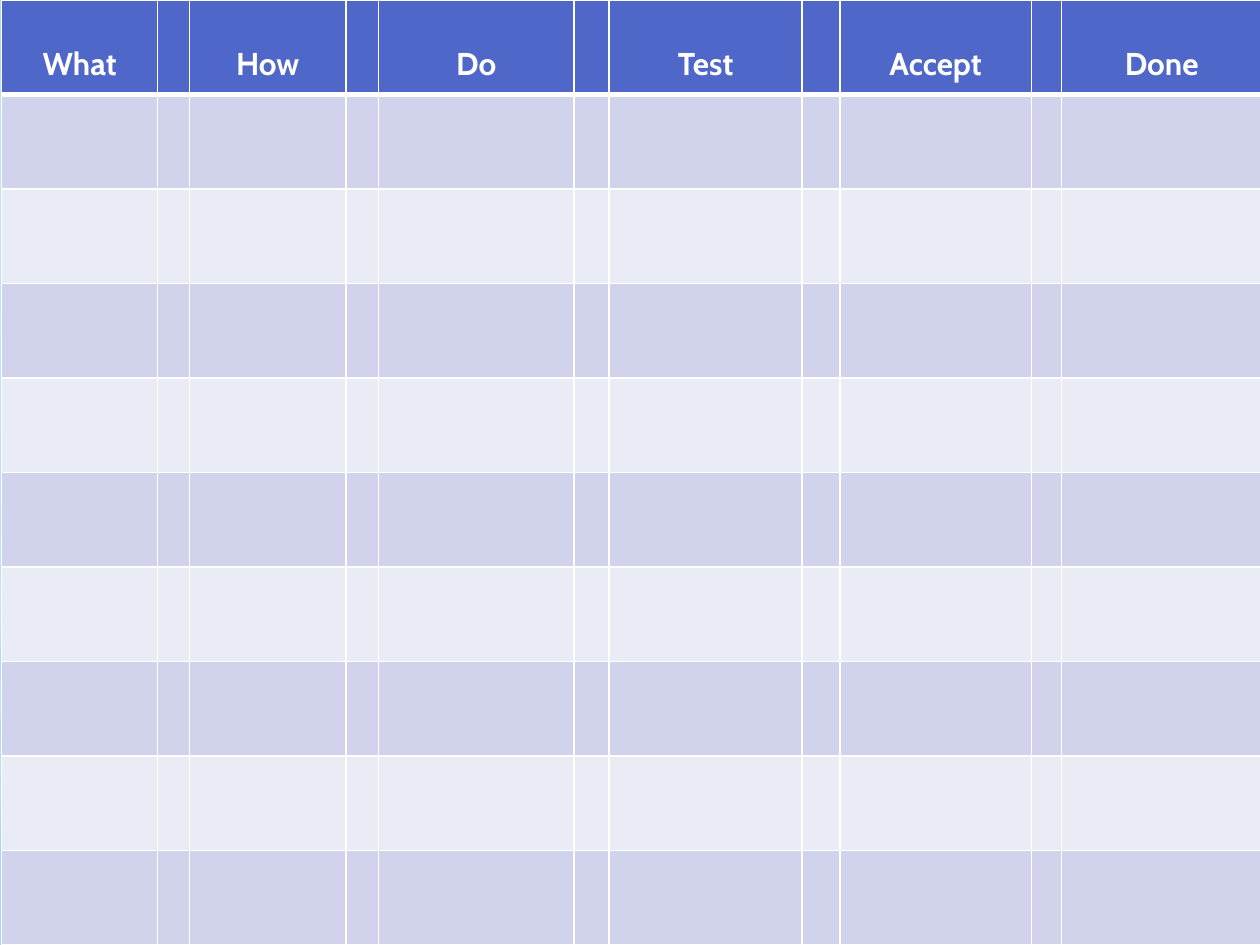
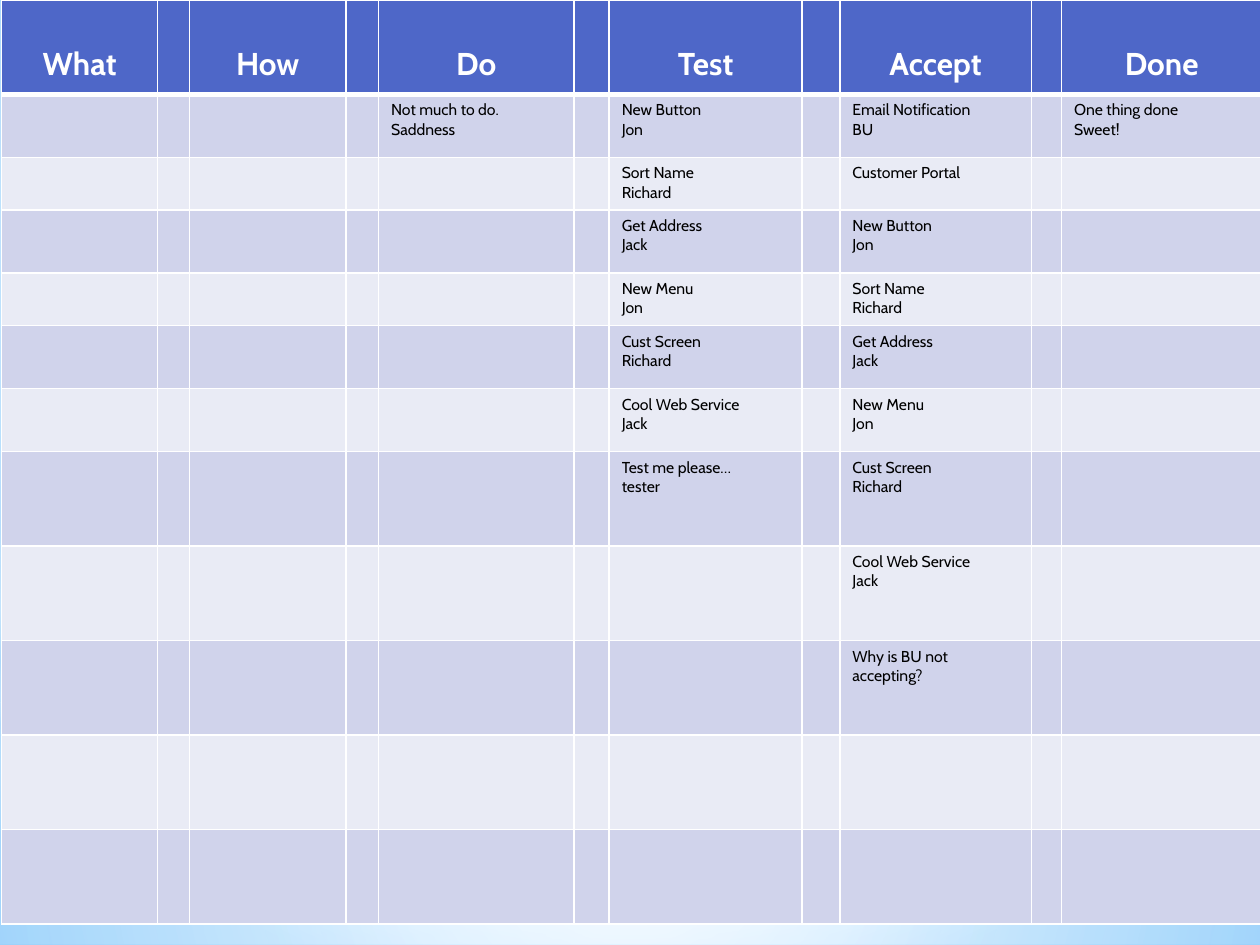
from dataclasses import dataclass

from lxml import etree
from pptx import Presentation
from pptx import util as u
from pptx.dml.color import RGBColor
from pptx.enum import shapes, text
from pptx.oxml import parse_xml
from pptx.oxml.ns import nsdecls, qn


@dataclass(frozen=True)
class Theme:
    font: str = "Cabin"
    header_size: int = 18
    card_size: int = 9
    header: str = "4E67C8"
    odd_row: str = "D0D3EB"
    even_row: str = "E9EBF5"
    white: str = "FFFFFF"
    ink: str = "000000"
    sky: str = "9ED5FF"
    deep_sky: str = "5BB9FF"
    mist: str = "B4DCFA"


theme = Theme()
CENTRE = (50, 50, 50, 50)


def gradient(stops, focus=None):
    """Gradient of (position, colour, opacity) in percent; round if it has a focus."""
    fill = parse_xml(f'<a:gradFill {nsdecls("a")} rotWithShape="1"><a:gsLst/></a:gradFill>')
    for position, colour, opacity in stops:
        stop = etree.SubElement(fill[0], qn("a:gs"), pos=str(position * 1000))
        tint = etree.SubElement(stop, qn("a:srgbClr"), val=colour)
        if opacity < 100:
            etree.SubElement(tint, qn("a:alpha"), val=str(opacity * 1000))
    if focus:
        way = etree.SubElement(fill, qn("a:path"), path="circle")
        sides = {side: str(share * 1000) for side, share in zip("ltrb", focus)}
        etree.SubElement(way, qn("a:fillToRect"), sides)
    else:
        etree.SubElement(fill, qn("a:lin"), ang="5400000", scaled="0")
    return fill


def write_cell(cell, lines, size, colour, bold=False, align=None):
    for number, line in enumerate(lines):
        frame = cell.text_frame
        paragraph = frame.paragraphs[0] if number == 0 else frame.add_paragraph()
        paragraph.alignment = align
        run = paragraph.add_run()
        run.text = line
        run.font.name, run.font.size, run.font.bold = theme.font, u.Pt(size), bold
        run.font.color.rgb = RGBColor.from_string(colour)


# Boards: row heights and the cards under each stage
stages = ["What", "How", "Do", "Test", "Accept", "Done"]
column_widths = [3.15, 0.64, 3.15, 0.66, 3.94, 0.71, 3.89, 0.76, 3.86, 0.58, 4.04]
deck = Presentation()
deck.slide_width, deck.slide_height = u.Cm(25.4), u.Cm(19.05)
full = deck.slide_height // 10
medium, short = u.Cm(1.27), u.Cm(1.06)

passed_on = [
    "New Button\nJon",
    "Sort Name\nRichard",
    "Get Address\nJack",
    "New Menu\nJon",
    "Cust Screen\nRichard",
    "Cool Web Service\nJack",
]
boards = [
    ([full] * 10, {}),
    (
        [full, medium, short, medium, short, medium, medium] + [full] * 5,
        {
            "Do": ["Not much to do.\nSaddness"],
            "Test": passed_on + ["Test me please…\ntester"],
            "Accept": ["Email Notification\nBU", "Customer Portal"]
            + passed_on
            + ["Why is BU not accepting?"],
            "Done": ["One thing done\nSweet!"],
        },
    ),
]

# Shared sky background
master = deck.slide_master
master.background.fill.solid()
sky = master.element.find(".//" + qn("p:bgPr"))
sky_stops = [(0, theme.sky, 100), (60, theme.white, 100), (100, theme.deep_sky, 100)]
sky.replace(sky[0], gradient(sky_stops, (20, 10, 20, 60)))

# Shared light veils: form, top, height, stops, focus
rectangle, oval = shapes.MSO_SHAPE.RECTANGLE, shapes.MSO_SHAPE.OVAL
veils = [
    (rectangle, 14.17, 4.88,
     [(0, theme.white, 91), (37, theme.white, 76), (100, theme.mist, 79)], CENTRE),
    (rectangle, 0, 14.17,
     [(0, theme.white, 89), (48, theme.white, 62), (100, theme.mist, 79)], CENTRE),
    (rectangle, 10.46, 6.35,
     [(0, theme.white, 0), (29, theme.white, 30), (45, theme.mist, 40),
      (55, theme.white, 26), (65, theme.mist, 60), (100, theme.white, 0)], None),
    (oval, 4.45, 14.17, [(0, theme.white, 100), (56, theme.white, 0)], CENTRE),
]

blank = deck.slide_layouts[6]
pages = [deck.slides.add_slide(blank) for _ in boards]
for form, top, height, stops, focus in veils:
    veil = pages[0].shapes.add_shape(form, 0, u.Cm(top), deck.slide_width, u.Cm(height))
    veil.shadow.inherit = False
    veil.line.fill.background()
    veil.element.spPr.insert(2, gradient(stops, focus))
    master.shapes.element.append(veil.element)

# Task boards
for page, (row_heights, cards) in zip(pages, boards):
    board = page.shapes.add_table(
        len(row_heights), len(column_widths),
        u.Cm(0.03), 0, u.Cm(sum(column_widths)), sum(row_heights),
    ).table
    board.horz_banding = False
    for column, width in zip(board.columns, column_widths):
        column.width = u.Cm(width)
    for row, height in zip(board.rows, row_heights):
        row.height = height

    # Fills and white grid, with a heavy rule under the header
    for r, row in enumerate(board.rows):
        shade = theme.header if r == 0 else theme.odd_row if r % 2 else theme.even_row
        for cell in row.cells:
            cell.fill.solid()
            cell.fill.fore_color.rgb = RGBColor.from_string(shade)
            for place, side in enumerate("LRTB"):
                heavy = (r, side) in [(0, "B"), (1, "T")]
                edge = parse_xml(
                    f'<a:ln{side} {nsdecls("a")} w="{u.Pt(3 if heavy else 1)}"><a:solidFill>'
                    f'<a:srgbClr val="{theme.white}"/></a:solidFill></a:ln{side}>'
                )
                cell.fill._xPr.insert(place, edge)

    # Stage headings and their cards, in every second column
    for s, stage in enumerate(stages):
        heading = board.cell(0, 2 * s)
        heading.margin_top = u.Cm(0.91)
        write_cell(heading, [stage], theme.header_size, theme.white, True,
                   text.PP_ALIGN.CENTER)
        for r, card in enumerate(cards.get(stage, []), start=1):
            write_cell(board.cell(r, 2 * s), card.split("\n"), theme.card_size, theme.ink)

deck.save("out.pptx")
